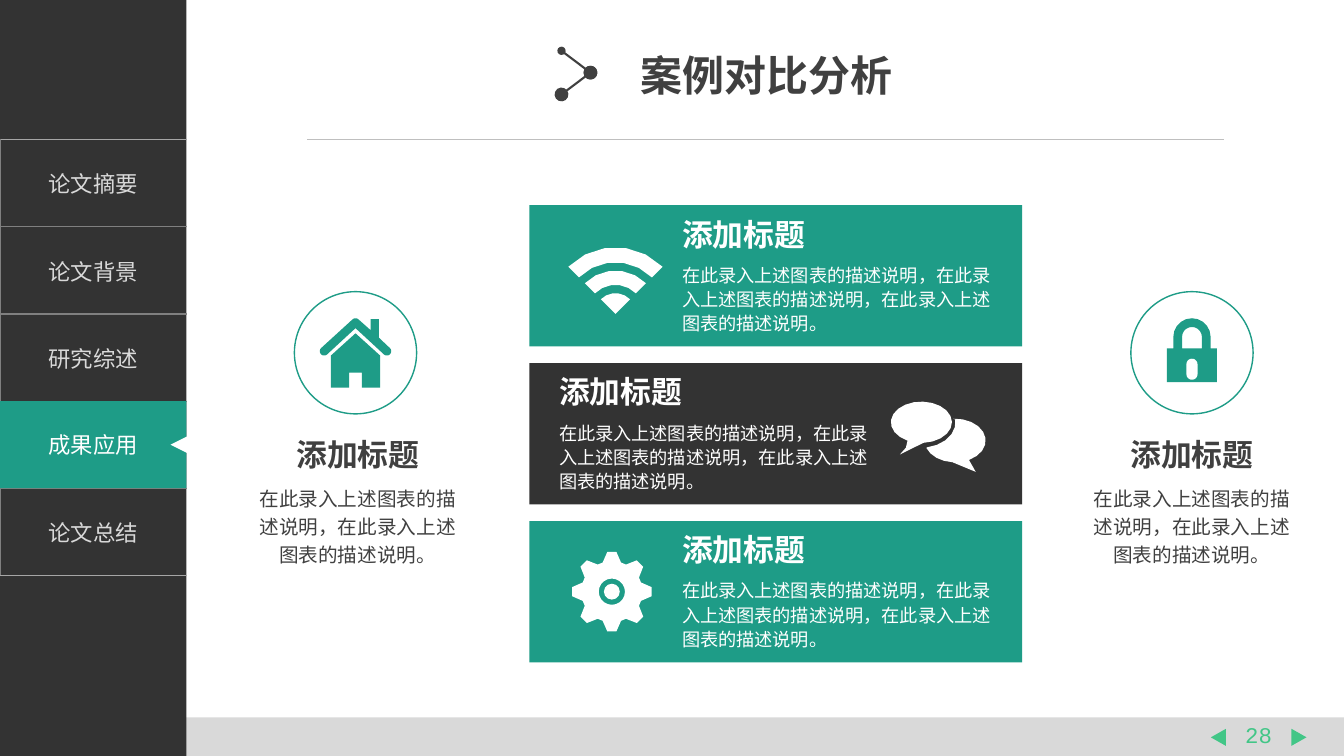
"""Build the case comparison slide with its sidebar, cards and icons."""
from dataclasses import dataclass
from math import ceil, cos, radians, sin

from pptx import Presentation
from pptx.dml.color import RGBColor
from pptx.enum.shapes import MSO_CONNECTOR, MSO_SHAPE
from pptx.enum.text import MSO_ANCHOR, MSO_AUTO_SIZE, PP_ALIGN
from pptx.oxml.ns import qn
from pptx.util import Cm, Pt
from lxml import etree

RECT, OVAL, TRIANGLE = MSO_SHAPE.RECTANGLE, MSO_SHAPE.OVAL, MSO_SHAPE.ISOSCELES_TRIANGLE
STRAIGHT = MSO_CONNECTOR.STRAIGHT
LEFT, CENTER = PP_ALIGN.LEFT, PP_ALIGN.CENTER
TOP, MIDDLE = MSO_ANCHOR.TOP, MSO_ANCHOR.MIDDLE
GROW = MSO_AUTO_SIZE.SHAPE_TO_FIT_TEXT
WHITE = RGBColor(0xFF, 0xFF, 0xFF)
TEAL = RGBColor(0x1E, 0x9C, 0x87)
GREEN = RGBColor(0x42, 0xC6, 0x87)
DARK = RGBColor(0x33, 0x33, 0x33)
INK = RGBColor(0x40, 0x40, 0x40)
PALE = RGBColor(0xD9, 0xD9, 0xD9)
RULE = RGBColor(0xBF, 0xBF, 0xBF)
CJK = "Noto Sans CJK SC"
HEADING = "添加标题"
PHRASE = "在此录入上述图表的描述说明"
CHAPTERS = ["论文摘要", "论文背景", "研究综述", "成果应用", "论文总结"]
ACTIVE = 3
SIDEBAR_W, MENU_TOP, ROW_H = 4.7, 3.51, 2.2

Point = tuple[float, float]
Outline = list[Point]


@dataclass(frozen=True)
class Style:
    size: float
    color: RGBColor
    bold: bool = False
    align: PP_ALIGN = LEFT
    spacing: float = 1.0
    font: str = CJK


@dataclass(frozen=True)
class Card:
    fill: RGBColor
    text_left: float


@dataclass(frozen=True)
class Aside:
    circle_x: float
    text_x: float


@dataclass(frozen=True)
class Link:
    start: Point
    end: Point
    color: RGBColor
    width: float
    dots: tuple[str, ...] = ()


CARDS = [Card(TEAL, 16.94), Card(DARK, 13.84), Card(TEAL, 16.94)]
ASIDES = [Aside(8.96, 9.02), Aside(30.04, 30.04)]
LINKS = [
    Link((7.74, 3.51), (30.84, 3.51), RULE, 0.5),
    Link((14.15, 1.28), (14.88, 1.83), INK, 1.5, ("med", "lg")),
    Link((14.88, 1.83), (14.15, 2.38), INK, 1.5, ("lg", "lg")),
]


def arc(x: float, y: float, rx: float, ry: float, start: float, end: float) -> Outline:
    """Return points on an elliptical arc, in degrees clockwise from the right."""
    steps = ceil(abs(end - start) / 18)
    angles = [radians(start + (end - start) * i / steps) for i in range(steps + 1)]
    return [(x + rx * cos(a), y + ry * sin(a)) for a in angles]


def gear(x: float, y: float) -> list[Outline]:
    """Return an eight-toothed wheel and the hole in it."""
    profile = [(-17.5, 0.77), (-6.5, 1.01), (6.5, 1.01), (17.5, 0.77)]
    rim = [(x + r * cos(radians(45 * tooth + a)), y + r * sin(radians(45 * tooth + a)))
           for tooth in range(8) for a, r in profile]
    return [rim, arc(x, y, 0.33, 0.33, 0, 360)]


def wifi_band(x: float, y: float, outer: float, inner: float) -> Outline:
    """Return one signal band."""
    return arc(x, y, outer, outer, 225, 315) + arc(x, y, inner, inner, 315, 225)


def front_bubble() -> Outline:
    """Return the front speech bubble."""
    return arc(23.22, 10.64, 0.77, 0.52, 117, 446) + [(22.68, 11.45), (22.83, 11.28)]


def rear_bubble() -> Outline:
    """Return the rear speech bubble, cut back by the front one."""
    return (arc(24.07, 11.1, 0.77, 0.55, -93, 63) + [(24.59, 11.89)]
            + arc(24.07, 11.1, 0.77, 0.55, 95, 160)
            + arc(23.22, 10.64, 0.86, 0.64, 80, -6))


def padlock(x: float) -> list[Outline]:
    """Return a padlock and the gap under its shackle."""
    body = ([(x - 0.63, 8.78), (x - 0.47, 8.78)] + arc(x, 8.49, 0.47, 0.47, 180, 360)
            + [(x + 0.47, 8.78), (x + 0.63, 8.78), (x + 0.63, 9.63), (x - 0.63, 9.63)])
    gap = [(x - 0.25, 8.78)] + arc(x, 8.49, 0.25, 0.25, 180, 360) + [(x + 0.25, 8.78)]
    return [body, gap]


def keyhole(x: float) -> Outline:
    """Return an upright slot with round ends."""
    return arc(x, 9.18, 0.14, 0.14, 180, 360) + arc(x, 9.43, 0.14, 0.14, 0, 180)


def house(x: float) -> list[Outline]:
    """Return the walls and the roof with its chimney."""
    walls = [(x, 8.4), (x + 0.62, 8.96), (x + 0.62, 9.77), (x + 0.16, 9.77), (x + 0.16, 9.39),
             (x - 0.16, 9.39), (x - 0.16, 9.77), (x - 0.62, 9.77), (x - 0.62, 8.96)]
    roof = (arc(x, 8.13, 0.11, 0.11, 225, 315)
            + [(x + 0.38, 8.32), (x + 0.38, 8.04), (x + 0.59, 8.04), (x + 0.59, 8.51)]
            + arc(x + 0.79, 8.85, 0.11, 0.11, -45, 135) + [(x, 8.27)]
            + arc(x - 0.79, 8.85, 0.11, 0.11, 45, 225))
    return [walls, roof]


def write(frame, text: str, style: Style, **frame_format) -> None:
    """Put one formatted paragraph into a text frame."""
    for key, value in frame_format.items():
        setattr(frame, key, value)
    paragraph = frame.paragraphs[0]
    paragraph.alignment, paragraph.line_spacing = style.align, style.spacing
    run = paragraph.add_run()
    run.text = text
    for key, value in {"name": style.font, "size": Pt(style.size), "bold": style.bold}.items():
        setattr(run.font, key, value)
    run.font.color.rgb = style.color
    latin = run.font._element.find(qn("a:latin"))
    latin.addnext(latin.makeelement(qn("a:ea"), {"typeface": CJK}))


def add_text(slide, box: tuple[float, ...], text: str, style: Style, wrap: bool = True) -> None:
    """Add a text box."""
    frame = slide.shapes.add_textbox(*map(Cm, box)).text_frame
    write(frame, text, style, word_wrap=wrap, auto_size=GROW)


def paint(shape, fill: RGBColor) -> None:
    """Give a shape a plain fill without outline or shadow."""
    shape.shadow.inherit = False
    shape.fill.solid()
    shape.fill.fore_color.rgb = fill
    shape.line.fill.background()


def add_block(slide, kind, box: tuple[float, ...], fill: RGBColor, rotation: float = 0):
    """Add a filled preset shape."""
    block = slide.shapes.add_shape(kind, *map(Cm, box))
    paint(block, fill)
    block.rotation = rotation
    return block


def add_icon(slide, outlines: list[Outline], fill: RGBColor) -> None:
    """Add closed outlines as one filled freeform."""
    first, *others = [[(Cm(x), Cm(y)) for x, y in outline] for outline in outlines]
    builder = slide.shapes.build_freeform(*first[0])
    builder.add_line_segments(first[1:], close=True)
    for outline in others:
        builder.move_to(*outline[0])
        builder.add_line_segments(outline[1:], close=True)
    paint(builder.convert_to_shape(), fill)


def add_link(slide, link: Link) -> None:
    """Add a straight line, with round ends where given."""
    line = slide.shapes.add_connector(STRAIGHT, *map(Cm, link.start + link.end))
    line.line.color.rgb, line.line.width = link.color, Pt(link.width)
    for tag, size in zip(("a:headEnd", "a:tailEnd"), link.dots):
        etree.SubElement(line.line._ln, qn(tag), type="oval", w=size, len=size)
    etree.SubElement(line._element.spPr, qn("a:effectLst"))


def add_menu(slide) -> None:
    """Add the chapter table and mark the active chapter."""
    table = slide.shapes.add_table(len(CHAPTERS), 1, Cm(0), Cm(MENU_TOP), Cm(SIDEBAR_W),
                                   Cm(ROW_H * len(CHAPTERS))).table
    table.first_row = table.horz_banding = False
    last = len(CHAPTERS) - 1
    for i, chapter in enumerate(CHAPTERS):
        cell = table.cell(i, 0)
        cell.vertical_anchor = MIDDLE
        write(cell.text_frame, chapter, Style(16, PALE, align=CENTER))
        borders = {"a:lnL": "808080", "a:lnR": None, "a:lnT": "808080" if i else "A6A6A6",
                   "a:lnB": "A6A6A6" if i == last else "808080"}
        for tag, color in borders.items():
            edge = etree.SubElement(cell._tc.get_or_add_tcPr(), qn(tag), w=str(Pt(1)))
            edge_fill = etree.SubElement(edge, qn("a:solidFill" if color else "a:noFill"))
            if color:
                etree.SubElement(edge_fill, qn("a:srgbClr"), val=color)
        cell.fill.background()
    active = add_block(slide, RECT, (0, MENU_TOP + ACTIVE * ROW_H, SIDEBAR_W, 2.19), TEAL)
    write(active.text_frame, CHAPTERS[ACTIVE], Style(16, WHITE, align=CENTER),
          vertical_anchor=MIDDLE)
    add_block(slide, TRIANGLE, (4.3, 11, 0.41, 0.41), WHITE, 270)


def add_icons(slide) -> None:
    """Add the icons of the cards and of the two asides."""
    for radii in ((0.52, 0), (1.09, 0.73), (1.68, 1.3)):
        add_icon(slide, [wifi_band(15.51, 7.91, *radii)], WHITE)
    for outlines, fill in (([rear_bubble()], WHITE), ([front_bubble()], WHITE),
                           (gear(15.42, 14.91), WHITE), (house(8.96), TEAL),
                           (padlock(30.04), TEAL), ([keyhole(30.04)], WHITE)):
        add_icon(slide, outlines, fill)
    add_block(slide, OVAL, (15.22, 14.71, 0.4, 0.4), WHITE)


def main() -> None:
    """Build and save the slide."""
    deck = Presentation()
    deck.slide_width, deck.slide_height = Cm(33.87), Cm(19.05)
    slide = deck.slides.add_slide(deck.slide_layouts[5])
    title = slide.shapes.title
    for key, value in {"left": 15.88, "top": 1.12, "width": 6.93, "height": 1.55}.items():
        setattr(title, key, Cm(value))
    write(title.text_frame, "案例对比分析", Style(30, INK, bold=True, font="Arial"),
          word_wrap=False, auto_size=GROW, vertical_anchor=TOP)
    add_block(slide, RECT, (0, 18.08, 33.87, 0.97), PALE)
    add_text(slide, (31.11, 18.04, 1.22, 0.94), "28",
             Style(16, GREEN, align=CENTER, font="Courier New"), wrap=False)
    add_block(slide, RECT, (0, 0, SIDEBAR_W, 19.05), DARK)
    add_menu(slide)
    for left, rotation in ((32.52, 90), (30.49, 270)):
        add_block(slide, TRIANGLE, (left, 18.39, 0.43, 0.38), GREEN, rotation)
    for i, card in enumerate(CARDS):
        top = 5.17 + 3.98 * i
        add_block(slide, RECT, (13.34, top, 12.42, 3.56), card.fill)
        add_text(slide, (card.text_left, top + 0.13, 4.32, 1.19), HEADING,
                 Style(22, WHITE, bold=True))
        add_text(slide, (card.text_left, top + 1.3, 8.53, 2.08),
                 "，".join([PHRASE] * 3) + "。", Style(13, WHITE, spacing=1.1))
    for aside in ASIDES:
        ring = add_block(slide, OVAL, (aside.circle_x - 1.54, 7.35, 3.08, 3.08), WHITE)
        ring.fill.background()
        ring.line.color.rgb, ring.line.width = TEAL, Pt(1)
        add_text(slide, (aside.text_x - 2.16, 10.86, 4.32, 1.19), HEADING,
                 Style(22, INK, bold=True, align=CENTER))
        add_text(slide, (aside.text_x - 2.75, 12.02, 5.49, 2.41),
                 "，".join([PHRASE] * 2) + "。", Style(14, INK, align=CENTER, spacing=1.2))
    add_icons(slide)
    for link in LINKS:
        add_link(slide, link)
    deck.save("out.pptx")


if __name__ == "__main__":
    main()
